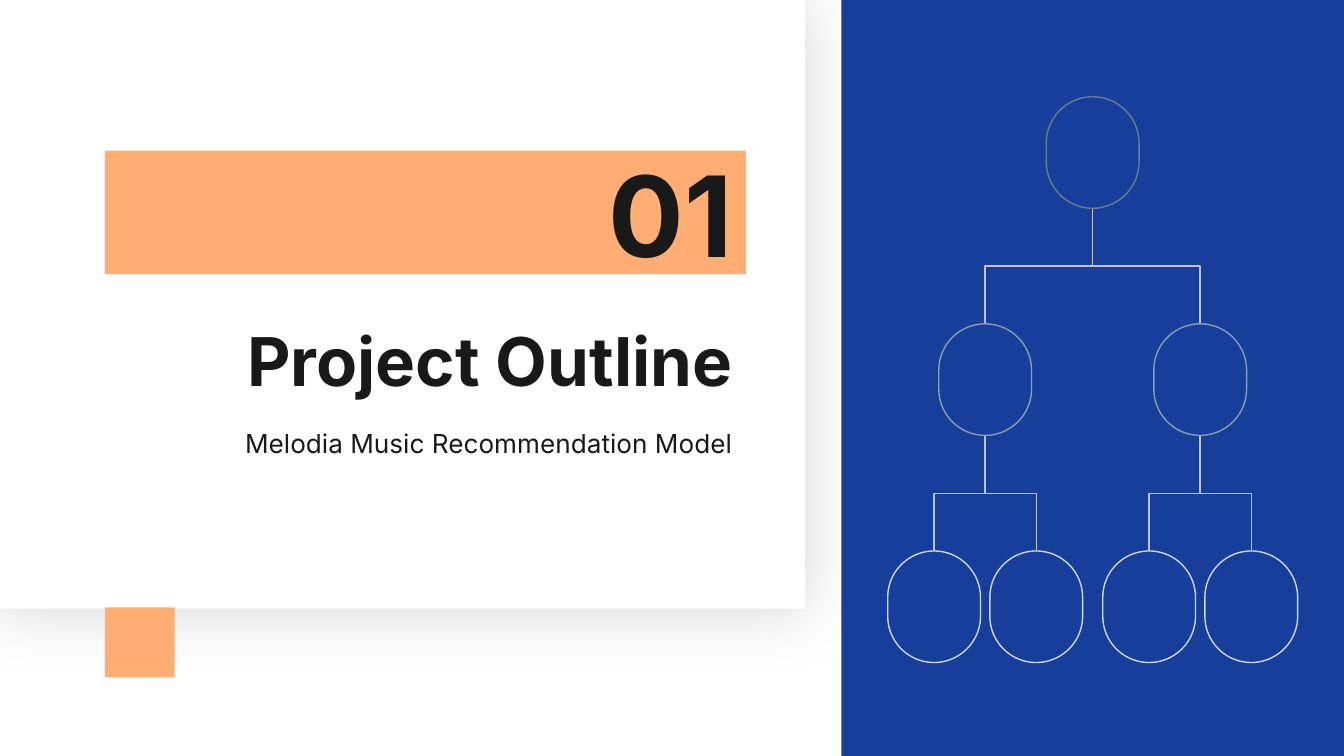
from lxml import etree
from pptx import Presentation
from pptx.dml.color import RGBColor
from pptx.enum.shapes import MSO_CONNECTOR, MSO_SHAPE
from pptx.enum.text import MSO_ANCHOR, PP_ALIGN
from pptx.oxml import parse_xml
from pptx.oxml.ns import nsdecls, qn
from pptx.util import Inches, Pt

RECTANGLE = MSO_SHAPE.RECTANGLE
ROUNDED = MSO_SHAPE.ROUNDED_RECTANGLE
ELBOW = MSO_CONNECTOR.ELBOW
TOP, MIDDLE, BOTTOM = MSO_ANCHOR.TOP, MSO_ANCHOR.MIDDLE, MSO_ANCHOR.BOTTOM
RIGHT = PP_ALIGN.RIGHT

FONT = "Inter"
COLORS = {
    "white": "FFFFFF",
    "blue": "183E9B",
    "orange": "FFAD72",
    "ink": "191919",
    "branch": "C2C2C2",
}
LEVEL_COLORS = ["667E92", "869FB1", "CFD9E0"]

SLIDE_WIDTH = 10
SLIDE_HEIGHT = SLIDE_WIDTH * 9 / 16
TEXT_LEFT, TEXT_WIDTH = 0.78, 4.77
NODE_WIDTH, NODE_HEIGHT = 0.69, 0.83
ROOT_CENTER, ROOT_TOP, LEVEL_STEP = 8.13, 0.72, 1.69
SPREADS = [0.8, 0.38]  # distance from a parent's centre to each child's


def rgb(value):
    return RGBColor.from_string(value)


def add_block(slide, left, top, width, height, color):
    shape = slide.shapes.add_shape(
        RECTANGLE, Inches(left), Inches(top), Inches(width), Inches(height))
    shape.shadow.inherit = False
    shape.fill.solid()
    shape.fill.fore_color.rgb = rgb(color)
    shape.line.fill.background()
    return shape


def add_soft_shadow(shape):
    effects = shape._element.spPr.find(qn("a:effectLst"))
    effects.append(parse_xml(
        f'<a:outerShdw {nsdecls("a")} blurRad="{Pt(36)}" dist="{Pt(1.5)}" '
        'dir="5400000" algn="ctr" rotWithShape="0">'
        '<a:srgbClr val="000000"><a:alpha val="17000"/></a:srgbClr>'
        '</a:outerShdw>'))


def write_text(shape, text, *, size, bold=False, anchor=TOP):
    frame = shape.text_frame
    frame.word_wrap = True
    frame.vertical_anchor = anchor
    frame.margin_left = frame.margin_right = Inches(0.1)
    frame.margin_top = frame.margin_bottom = Inches(0.1)
    paragraph = frame.paragraphs[0]
    paragraph.alignment = RIGHT
    run = paragraph.add_run()
    run.text = text
    run.font.name = FONT
    run.font.size = Pt(size)
    run.font.bold = bold
    run.font.color.rgb = rgb(COLORS["ink"])


def add_text(slide, text, top, height, **text_format):
    box = slide.shapes.add_textbox(
        Inches(TEXT_LEFT), Inches(top), Inches(TEXT_WIDTH), Inches(height))
    write_text(box, text, **text_format)


def add_branch(slide, parent_center, child_center, top):
    """Join a parent's bottom to a child's top; the elbow is turned by 270°."""
    offset = child_center - parent_center
    length = LEVEL_STEP - NODE_HEIGHT
    middle_x = (parent_center + child_center) / 2
    middle_y = top + length / 2
    half_width = length / 2 if offset > 0 else -length / 2
    half_height = abs(offset) / 2
    connector = slide.shapes.add_connector(
        ELBOW,
        Inches(middle_x + half_width), Inches(middle_y - half_height),
        Inches(middle_x - half_width), Inches(middle_y + half_height))
    connector.line.color.rgb = rgb(COLORS["branch"])
    connector.line.width = Pt(0.75)
    properties = connector._element.spPr
    properties.find(qn("a:xfrm")).set("rot", str(270 * 60000))
    etree.SubElement(properties, qn("a:effectLst"))


def add_node(slide, center, top, color):
    node = slide.shapes.add_shape(
        ROUNDED, Inches(center - NODE_WIDTH / 2), Inches(top),
        Inches(NODE_WIDTH), Inches(NODE_HEIGHT))
    node.adjustments[0] = 0.5
    node.shadow.inherit = False
    node.fill.background()
    node.line.color.rgb = rgb(color)
    node.line.width = Pt(0.75)


def add_tree(slide):
    levels = [[ROOT_CENTER]]
    for depth, spread in enumerate(SPREADS):
        branch_top = ROOT_TOP + depth * LEVEL_STEP + NODE_HEIGHT
        children = []
        for parent in levels[-1]:
            for child in (parent - spread, parent + spread):
                add_branch(slide, parent, child, branch_top)
                children.append(child)
        levels.append(children)
    for depth, (centers, color) in enumerate(zip(levels, LEVEL_COLORS)):
        for center in centers:
            add_node(slide, center, ROOT_TOP + depth * LEVEL_STEP, color)


def main():
    presentation = Presentation()
    presentation.slide_width = Inches(SLIDE_WIDTH)
    presentation.slide_height = Inches(SLIDE_HEIGHT)
    slide = presentation.slides.add_slide(presentation.slide_layouts[6])

    card = add_block(slide, 0, 0, 5.99, 4.53, COLORS["white"])
    add_soft_shadow(card)
    add_block(slide, 6.26, 0, 3.74, SLIDE_HEIGHT, COLORS["blue"])

    add_text(slide, "Project Outline", 2.28, 0.8,
             size=36, bold=True, anchor=BOTTOM)
    number_band = add_block(
        slide, TEXT_LEFT, 1.12, TEXT_WIDTH, 0.92, COLORS["orange"])
    write_text(number_band, "01", size=60, bold=True, anchor=MIDDLE)
    add_text(slide, "Melodia Music Recommendation Model", 3.08, 0.38, size=14)
    add_block(slide, TEXT_LEFT, 4.52, 0.52, 0.52, COLORS["orange"])

    add_tree(slide)
    presentation.save("out.pptx")


if __name__ == "__main__":
    main()
